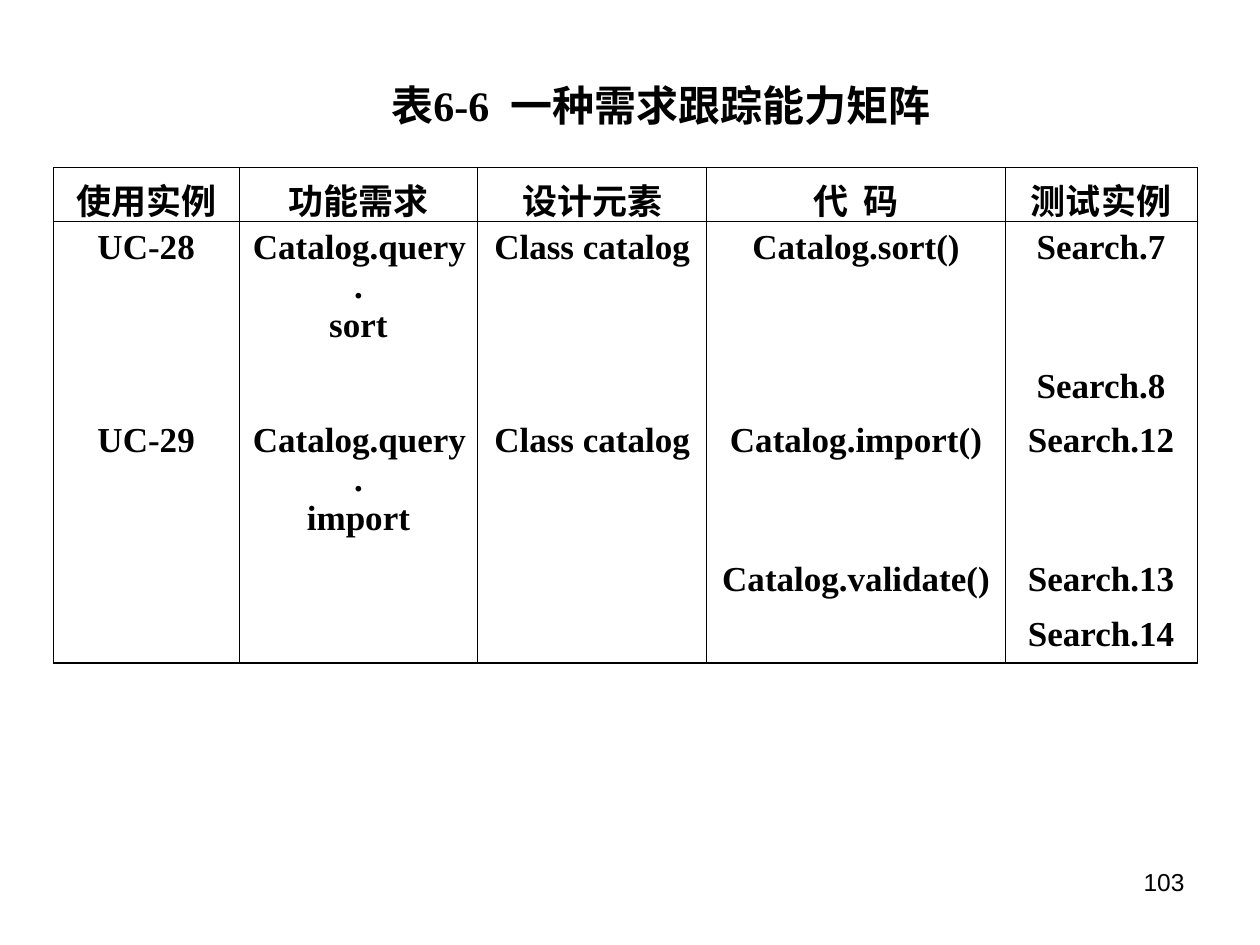
import pptx
import pptx.util
import pptx.dml.color
import pptx.enum.text
import pptx.oxml
import pptx.oxml.ns
from pptx.util import Inches, Pt

COLORS = {"ink": "000000"}
ALIGN = pptx.enum.text.PP_ALIGN
ANCHOR = pptx.enum.text.MSO_ANCHOR


def write(frame, text, size, align=ALIGN.CENTER, bold=True, font="Times New Roman"):
    frame.text = text
    for paragraph in frame.paragraphs:
        paragraph.alignment = align
        paragraph.font.size = Pt(size)
        for span in paragraph.runs:
            span.font.size = Pt(size)
            span.font.name = font
            span.font.bold = bold
            span.font.color.rgb = pptx.dml.color.RGBColor.from_string(COLORS["ink"])


def set_borders(cell, widths):
    """Draw the sides L, R, T, B in the given point widths; 0 hides a side."""
    properties = cell._tc.get_or_add_tcPr()
    for position, (side, width) in enumerate(widths.items()):
        if width:
            fill = f'<a:solidFill><a:srgbClr val="{COLORS["ink"]}"/></a:solidFill>'
        else:
            fill = "<a:noFill/>"
        line = pptx.oxml.parse_xml(
            f'<a:ln{side} {pptx.oxml.ns.nsdecls("a")} w="{Pt(width)}">{fill}</a:ln{side}>')
        properties.insert(position, line)


deck = pptx.Presentation()
deck.slide_width, deck.slide_height = Inches(10), Inches(7.5)
page = deck.slides.add_slide(deck.slide_layouts[6])

title = page.shapes.add_textbox(Inches(1.58), Inches(0.58), Inches(7.33), Inches(0.5))
title.text_frame.word_wrap = True
title.text_frame.vertical_anchor = ANCHOR.MIDDLE
write(title.text_frame, "表6-6  一种需求跟踪能力矩阵", 24)

rows = [
    ["使用实例", "功能需求", "设计元素", "代  码", "测试实例"],
    ["UC-28", "Catalog.query.\nsort", "Class catalog", "Catalog.sort()", "Search.7"],
    ["", "", "", "", "Search.8"],
    ["UC-29", "Catalog.query.\nimport", "Class catalog", "Catalog.import()", "Search.12"],
    ["", "", "", "Catalog.validate()", "Search.13"],
    ["", "", "", "", "Search.14"],
]
column_widths = [1.48, 1.89, 1.82, 2.37, 1.52]
row_heights = [0.43, 1.1, 0.43, 1.1, 0.43, 0.43]
thin, thick = 0.45, 0.96
last = len(rows) - 1

matrix = page.shapes.add_table(
    len(rows), len(column_widths), Inches(0.42), Inches(1.33),
    Inches(sum(column_widths)), Inches(sum(row_heights))).table
matrix.first_row = matrix.horz_banding = False
for column, width in zip(matrix.columns, column_widths):
    column.width = Inches(width)

for index, texts in enumerate(rows):
    matrix.rows[index].height = Inches(row_heights[index])
    top = {0: thick, 1: thin}.get(index, 0)
    bottom = {0: thin, last: thick}.get(index, 0)
    for cell, text in zip(matrix.rows[index].cells, texts):
        cell.fill.background()
        cell.margin_left = cell.margin_right = Inches(0.09)
        if index == 0:
            cell.margin_bottom = 0
        write(cell.text_frame, text, 20)
        set_borders(cell, {"L": thin, "R": thin, "T": top, "B": bottom})

number = page.shapes.add_textbox(Inches(7.17), Inches(6.83), Inches(2.33), Inches(0.52))
number.text_frame.word_wrap = True
write(number.text_frame, "103", 14, ALIGN.RIGHT, False, "Arial")

deck.save("out.pptx")
